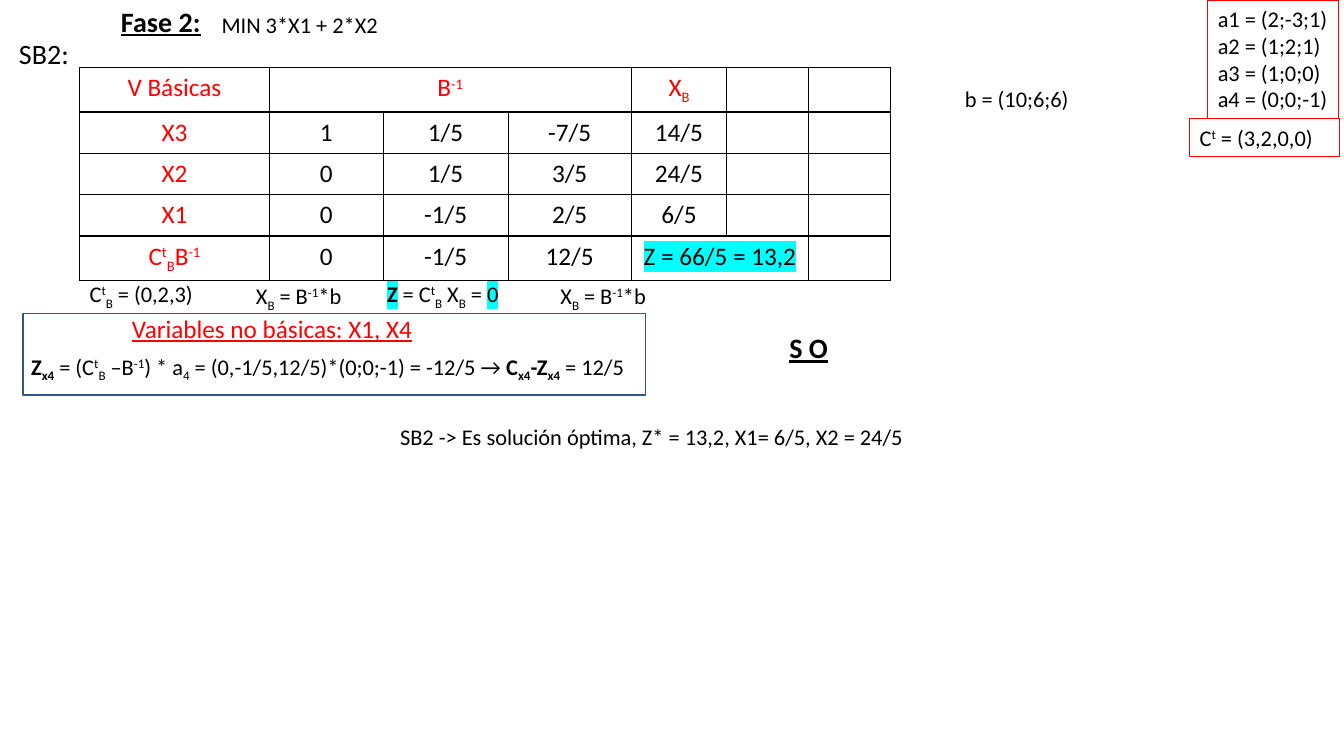
from pptx import Presentation, util as u
from pptx.dml.color import RGBColor
from pptx.enum import shapes, text
from pptx.oxml import parse_xml
from pptx.oxml.ns import nsdecls

PX = 9144  # EMU in one px, 100 px to the inch
BLACK = RGBColor(0, 0, 0)
RED = RGBColor(0xFF, 0, 0)
BLUE = RGBColor(0x32, 0x54, 0x91)
CYAN = RGBColor(0, 0xFF, 0xFF)
LEFT, CENTER = text.PP_ALIGN.LEFT, text.PP_ALIGN.CENTER
BASELINE = {"^": 30000, "_": -25000}


def write(tf, markup, size=16, color=BLACK, align=LEFT, underline=False):
    """Markers switch on and off: ^ superscript, _ subscript, ~ bold, | highlight."""
    for i, line in enumerate(markup.split("\n")):
        p = tf.paragraphs[0] if i == 0 else tf.add_paragraph()
        p.alignment = align
        on, chunk = set(), ""
        for ch in line + "\n":
            if ch not in "^_~|\n":
                chunk += ch
                continue
            if chunk:
                r = p.add_run()
                r.text, chunk = chunk, ""
                r.font.name, r.font.size = "Calibri", u.Pt(size)
                r.font.bold, r.font.underline = "~" in on, underline
                r.font.color.rgb = color
                rPr = r.font._element
                for mark in on & set(BASELINE):
                    rPr.set("baseline", str(BASELINE[mark]))
                if "|" in on:
                    rPr.solidFill.addnext(parse_xml(
                        f'<a:highlight {nsdecls("a")}><a:srgbClr val="{CYAN}"/></a:highlight>'))
            on ^= {ch}


prs = Presentation()
prs.slide_width, prs.slide_height = 1333 * PX, 750 * PX
s = prs.slides.add_slide(prs.slide_layouts[5])

# Title
title = s.shapes.title
title.left, title.top, title.width, title.height = [v * PX for v in (110, -1, 100, 44)]
tf = title.text_frame
tf.word_wrap = False
tf.auto_size = text.MSO_AUTO_SIZE.SHAPE_TO_FIT_TEXT
tf.vertical_anchor = text.MSO_ANCHOR.TOP
write(tf, "~Fase 2:~", size=20, underline=True)

# Simplex table
rows = [
    ["V Básicas", "B^-1^", "", "", "X_B_", "", ""],
    ["X3", "1", "1/5", "-7/5", "14/5", "", ""],
    ["X2", "0", "1/5", "3/5", "24/5", "", ""],
    ["X1", "0", "-1/5", "2/5", "6/5", "", ""],
    ["C^t^_B_B^-1^", "0", "-1/5", "12/5", "|Z = 66/5 = 13,2|", "", ""],
]
widths = [188, 113, 124, 122, 95, 81, 81]
table = s.shapes.add_table(len(rows), len(widths), 79 * PX, 67 * PX,
                           sum(widths) * PX, 41 * len(rows) * PX).table
table.first_row = table.horz_banding = False
for col, width in zip(table.columns, widths):
    col.width = width * PX
for i, row in enumerate(rows):
    table.rows[i].height = 41 * PX
    for j, value in enumerate(row):
        cell = table.cell(i, j)
        cell.fill.background()
        write(cell.text_frame, value, size=18, align=CENTER,
              color=RED if i == 0 or j == 0 else BLACK)
        tcPr = cell._tc.get_or_add_tcPr()
        for k, side in enumerate("LRTB"):
            tcPr.insert(k, parse_xml(
                f'<a:ln{side} {nsdecls("a")} w="12700"><a:solidFill>'
                f'<a:srgbClr val="{BLACK}"/></a:solidFill></a:ln{side}>'))
table.cell(0, 1).merge(table.cell(0, 3))
table.cell(4, 4).merge(table.cell(4, 5))

# Formulas and notes
notes = [
    (9, 31, 70, 44, "SB2:", dict(size=20)),
    (79, 273, 131, 37, "C^t^_B_ = (0,2,3)", {}),
    (244, 275, 109, 37, "X_B_ = B^-1^*b", {}),
    (374, 273, 135, 37, "~|Z|~ = C^t^_B_ X_B_ = |0|", {}),
    (546, 275, 109, 37, "X_B_ = B^-1^*b", {}),
    (210, 6, 177, 37, "MIN 3*X1 + 2*X2", {}),
    (947, 80, 125, 37, "b = (10;6;6)", {}),
    (121, 306, 302, 40, "Variables no básicas: X1, X4",
     dict(size=18, color=RED, underline=True)),
    (21, 345, 628, 37, "~Z_x4_~ = (C^t^_B_ –B^-1^) * a_4_ = (0,-1/5,12/5)*(0;0;-1)"
     " = -12/5 → ~C_x4_-Z_x4_~ = 12/5", {}),
    (773, 323, 59, 44, "~S O~", dict(size=20, underline=True)),
    (387, 415, 526, 37, "SB2 -> Es solución óptima, Z* = 13,2, X1= 6/5, X2 = 24/5", {}),
]
for x, y, w, h, markup, style in notes:
    tf = s.shapes.add_textbox(x * PX, y * PX, w * PX, h * PX).text_frame
    tf.word_wrap = False
    tf.auto_size = text.MSO_AUTO_SIZE.SHAPE_TO_FIT_TEXT
    write(tf, markup, **style)

# Outlined boxes
boxes = [
    (1198, 0, 130, 118, RED, 0.75, "a1 = (2;-3;1)\na2 = (1;2;1)\na3 = (1;0;0)\na4 = (0;0;-1)"),
    (1180, 118, 149, 37, RED, 0.75, "C^t^ = (3,2,0,0)"),
    (23, 311, 617, 81, BLUE, 1, ""),
]
for x, y, w, h, color, weight, markup in boxes:
    sp = s.shapes.add_shape(shapes.MSO_SHAPE.RECTANGLE, x * PX, y * PX, w * PX, h * PX)
    sp.shadow.inherit = False
    sp.fill.background()
    sp.line.color.rgb, sp.line.width = color, u.Pt(weight)
    sp.text_frame.word_wrap = False
    sp.text_frame.vertical_anchor = text.MSO_ANCHOR.TOP
    write(sp.text_frame, markup)

prs.save("out.pptx")
